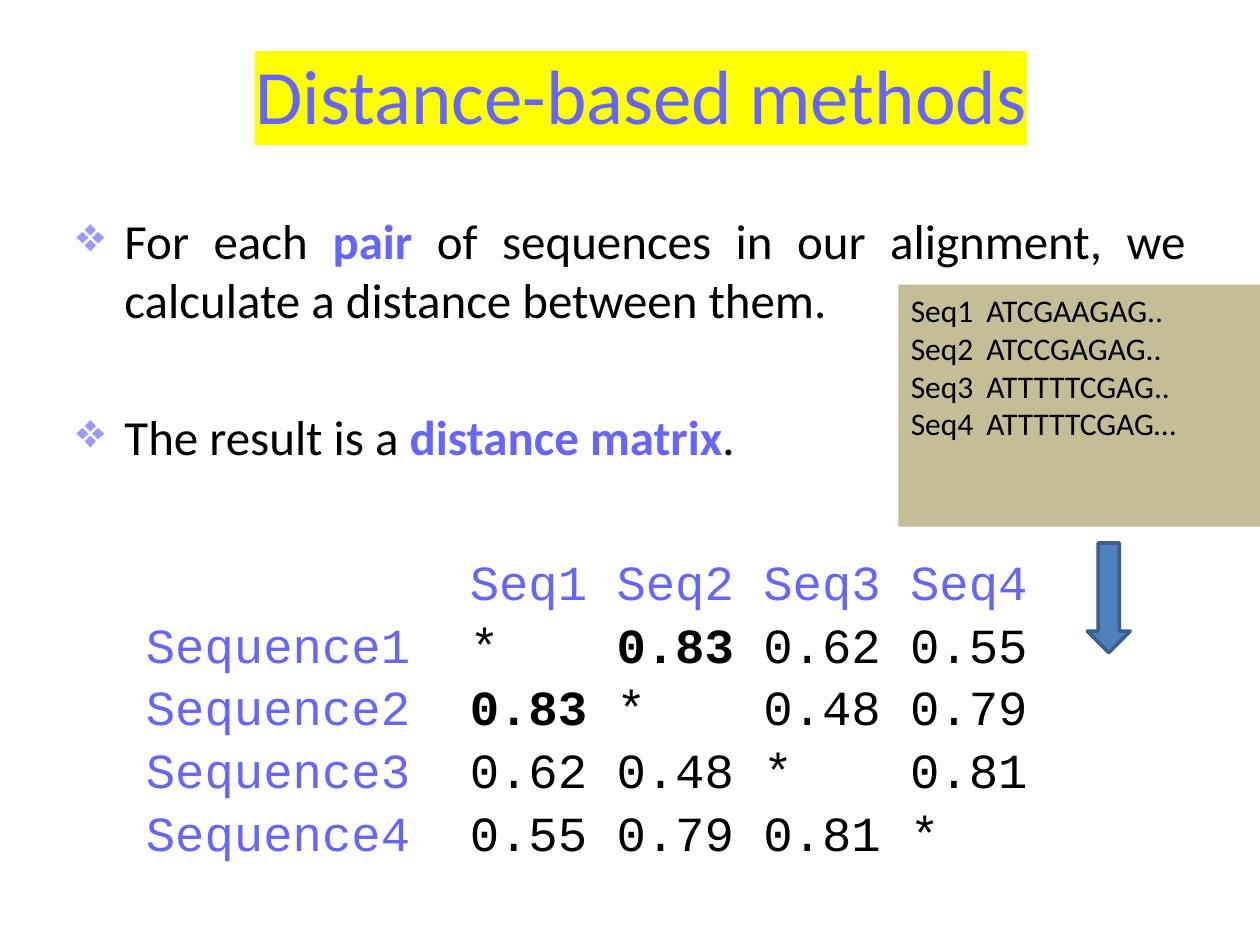
from lxml import etree
from pptx import Presentation
from pptx.dml.color import RGBColor
from pptx.enum.shapes import MSO_SHAPE
from pptx.enum.text import MSO_ANCHOR, PP_ALIGN
from pptx.oxml.ns import qn
from pptx.util import Inches, Pt

RECTANGLE, DOWN_ARROW = MSO_SHAPE.RECTANGLE, MSO_SHAPE.DOWN_ARROW
TOP, MIDDLE = MSO_ANCHOR.TOP, MSO_ANCHOR.MIDDLE
LEFT, CENTER, JUSTIFY = PP_ALIGN.LEFT, PP_ALIGN.CENTER, PP_ALIGN.JUSTIFY
TITLE_ONLY = 5

COLORS = {
    "text": "000000", "accent": "6666FF", "bullet": "9999FF", "highlight": "FFFF00",
    "panel": "C4BD97", "arrow": "4F81BD", "arrow_line": "3A5F8C",
}

# Each run is (text, color, bold).
TITLE = [("Distance-based methods", "accent", False)]
POINTS = [
    [("For each ", "text", False), ("pair", "accent", True),
     (" of sequences in our alignment, we calculate a distance between them.", "text", False)],
    [("The result is a ", "text", False), ("distance matrix", "accent", True),
     (".", "text", False)],
]
MATRIX_HEADER = ["Seq1", "Seq2", "Seq3", "Seq4"]
MATRIX_ROWS = {
    "Sequence1": ["*", "0.83", "0.62", "0.55"],
    "Sequence2": ["0.83", "*", "0.48", "0.79"],
    "Sequence3": ["0.62", "0.48", "*", "0.81"],
    "Sequence4": ["0.55", "0.79", "0.81", "*"],
}
BOLD_VALUES = {"0.83"}
ALIGNMENT = [("Seq1", "ATCGAAGAG.."), ("Seq2", "ATCCGAGAG.."),
             ("Seq3", "ATTTTTCGAG.."), ("Seq4", "ATTTTTCGAG…")]

BOXES = {
    "title": (0.59, 0.28, 9, 0.93),
    "points": (0.51, 1.62, 9, 2.28),
    "matrix": (1.06, 4.38, 7.95, 2.76),
    "alignment": (7.13, 2.26, 3.01, 1.92),
    "arrow": (8.63, 4.31, 0.34, 0.87),
}
HANGING_INDENT = 0.38
MATRIX_TABS = [2.57 + 1.165 * column for column in range(len(MATRIX_HEADER))]
ALIGNMENT_TABS = [0.6]
POINT_GAPS = [5.6, 45]


def rgb(name):
    return RGBColor.from_string(COLORS[name])


def box(name):
    return [Inches(length) for length in BOXES[name]]


def prepare_frame(shape, anchor=TOP):
    frame = shape.text_frame
    frame.word_wrap = True
    frame.vertical_anchor = anchor
    return frame


def add_paragraph(frame, index, runs, size, font="Calibri", **formats):
    paragraph = frame.paragraphs[0] if index == 0 else frame.add_paragraph()
    for attribute, value in formats.items():
        setattr(paragraph, attribute, value)
    for text, color, bold in runs:
        run = paragraph.add_run()
        run.text = text
        for attribute, value in {"name": font, "size": Pt(size), "bold": bold}.items():
            setattr(run.font, attribute, value)
        run.font.color.rgb = rgb(color)
    return paragraph


def add_bullet(paragraph):
    properties = paragraph._p.get_or_add_pPr()
    properties.set("marL", str(Inches(HANGING_INDENT)))
    properties.set("indent", str(-Inches(HANGING_INDENT)))
    color = etree.SubElement(properties, qn("a:buClr"))
    etree.SubElement(color, qn("a:srgbClr"), val=COLORS["bullet"])
    etree.SubElement(properties, qn("a:buChar"), char="❖")


def add_tabs(paragraph, positions):
    tabs = etree.SubElement(paragraph._p.get_or_add_pPr(), qn("a:tabLst"))
    for position in positions:
        etree.SubElement(tabs, qn("a:tab"), pos=str(Inches(position)), algn="l")


def highlight(run):
    mark = etree.Element(qn("a:highlight"))
    etree.SubElement(mark, qn("a:srgbClr"), val=COLORS["highlight"])
    run.font._element.find(qn("a:solidFill")).addnext(mark)


def add_filled_shape(slide, kind, name, fill):
    shape = slide.shapes.add_shape(kind, *box(name))
    shape.shadow.inherit = False
    shape.fill.solid()
    shape.fill.fore_color.rgb = rgb(fill)
    return shape


def add_title(slide):
    title = slide.shapes.title
    title.left, title.top, title.width, title.height = box("title")
    paragraph = add_paragraph(prepare_frame(title, MIDDLE), 0, TITLE, 44, alignment=CENTER)
    highlight(paragraph.runs[0])


def add_points(slide):
    frame = prepare_frame(slide.shapes.add_textbox(*box("points")))
    for index, (runs, gap) in enumerate(zip(POINTS, POINT_GAPS)):
        add_bullet(add_paragraph(frame, index, runs, 28,
                                 alignment=JUSTIFY, space_before=Pt(gap)))


def add_matrix(slide):
    frame = prepare_frame(slide.shapes.add_textbox(*box("matrix")))
    lines = [[("\t" + name, "accent", False) for name in MATRIX_HEADER]]
    for name, values in MATRIX_ROWS.items():
        lines.append([(name, "accent", False)]
                     + [("\t" + value, "text", value in BOLD_VALUES) for value in values])
    for index, runs in enumerate(lines):
        paragraph = add_paragraph(frame, index, runs, 28, "Courier New",
                                  line_spacing=0.9, space_before=Pt(5.6))
        add_tabs(paragraph, MATRIX_TABS)


def add_alignment(slide):
    panel = add_filled_shape(slide, RECTANGLE, "alignment", "panel")
    panel.line.fill.background()
    frame = prepare_frame(panel)
    for index, pair in enumerate(ALIGNMENT):
        runs = [("\t".join(pair), "text", False)]
        add_tabs(add_paragraph(frame, index, runs, 18, alignment=LEFT), ALIGNMENT_TABS)


def add_arrow(slide):
    arrow = add_filled_shape(slide, DOWN_ARROW, "arrow", "arrow")
    arrow.line.color.rgb = rgb("arrow_line")
    arrow.line.width = Pt(2)


def main():
    presentation = Presentation()
    presentation.slide_width, presentation.slide_height = Inches(10), Inches(7.5)
    slide = presentation.slides.add_slide(presentation.slide_layouts[TITLE_ONLY])
    for add_part in (add_title, add_points, add_matrix, add_alignment, add_arrow):
        add_part(slide)
    presentation.save("out.pptx")


if __name__ == "__main__":
    main()
